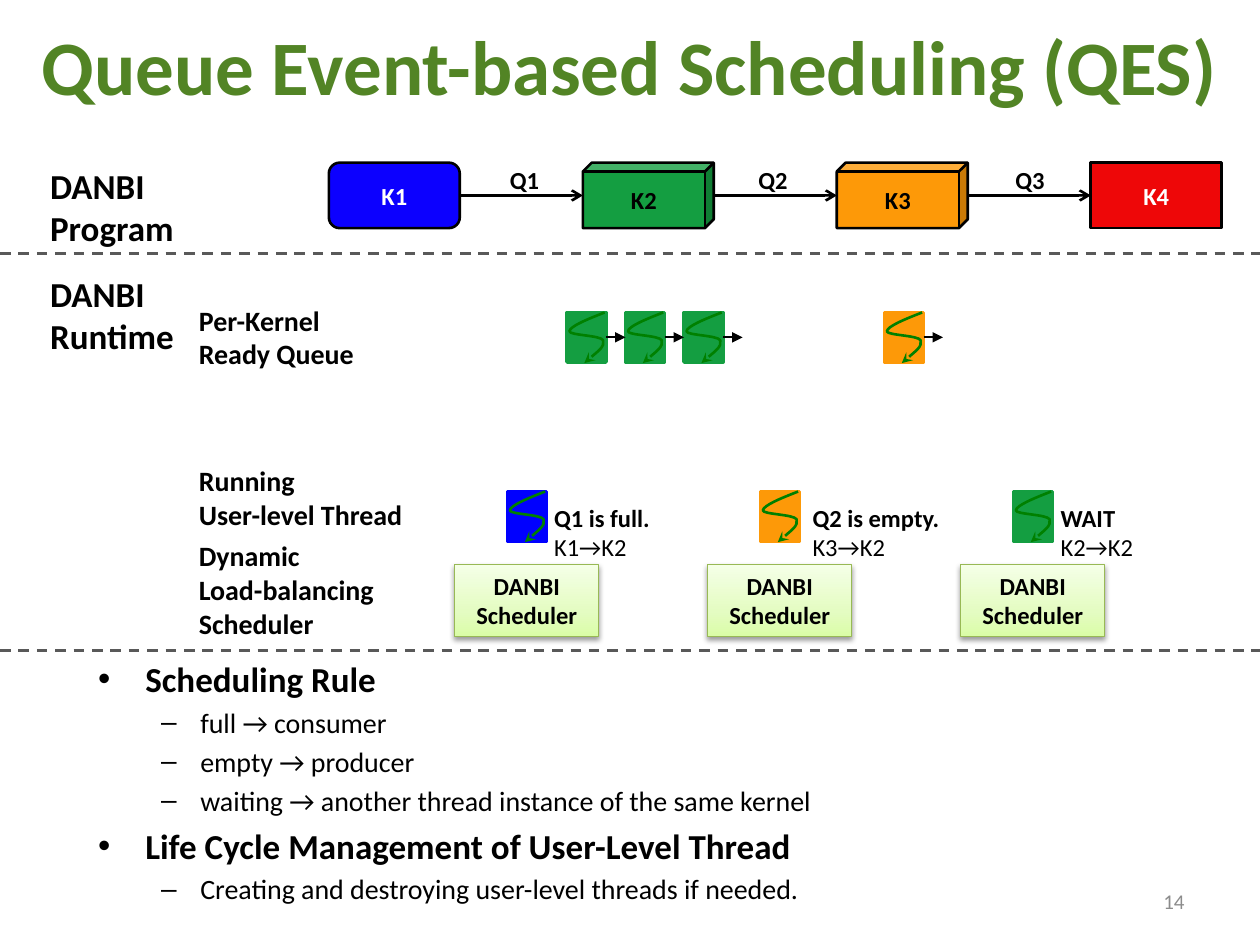
from copy import deepcopy
from typing import NamedTuple

from lxml.etree import SubElement
from pptx import Presentation
from pptx.dml.color import RGBColor
from pptx.enum.dml import MSO_LINE
from pptx.enum.shapes import MSO_CONNECTOR, MSO_SHAPE
from pptx.enum.text import MSO_ANCHOR, MSO_AUTO_SIZE, PP_ALIGN
from pptx.oxml.ns import qn
from pptx.util import Cm, Pt

BLACK, WHITE, GREEN, AMBER = "000000", "FFFFFF", "149E41", "FD9908"
TOP, LEFT, BASE, RIGHT = range(4)


class Kernel(NamedTuple):
    name: str
    form: MSO_SHAPE
    fill: str
    ink: str


class Label(NamedTuple):
    x: float
    y: float
    w: float
    h: float
    size: int
    lines: list[str]


class Worker(NamedTuple):
    fill: str
    note_x: float
    note_w: float
    event: str
    move: str


class Point(NamedTuple):
    level: int
    text: str


KERNELS = [
    Kernel("K1", MSO_SHAPE.ROUNDED_RECTANGLE, "0C00FF", WHITE),
    Kernel("K2", MSO_SHAPE.CUBE, GREEN, BLACK),
    Kernel("K3", MSO_SHAPE.CUBE, AMBER, BLACK),
    Kernel("K4", MSO_SHAPE.RECTANGLE, "EE0708", WHITE),
]
LABELS = [
    Label(0.76, 3.2, 3.05, 1.96, 20, ["DANBI", "Program"]),
    Label(0.76, 5.36, 3.05, 1.96, 20, ["DANBI", "Runtime"]),
    Label(3.76, 5.99, 3.68, 1.63, 16, ["Per-Kernel", "Ready Queue"]),
    Label(3.76, 9.22, 4.7, 1.63, 16, ["Running", "User-level Thread"]),
    Label(3.76, 10.74, 4.11, 2.31, 16, ["Dynamic", "Load-balancing", "Scheduler"]),
    Label(10.03, 3.2, 1.12, 0.86, 14, ["Q1"]),
    Label(15.04, 3.2, 1.12, 0.86, 14, ["Q2"]),
    Label(20.22, 3.2, 1.12, 0.86, 14, ["Q3"]),
]
WORKERS = [
    Worker("0000FF", 10.92, 2.46, "Q1 is full.", "K1→K2"),
    Worker(AMBER, 16.13, 3.12, "Q2 is empty.", "K3→K2"),
    Worker(GREEN, 21.13, 2.03, "WAIT", "K2→K2"),
]
POINTS = [
    Point(0, "Scheduling Rule"),
    Point(1, "full → consumer"),
    Point(1, "empty → producer"),
    Point(1, "waiting → another thread instance of the same kernel"),
    Point(0, "Life Cycle Management of User-Level Thread"),
    Point(1, "Creating and destroying user-level threads if needed."),
]
# Curve of a thread: a start, then three Bezier parts
CURVE = [(0.76, 0), (0.4, 0.14), (0.06, 0.28), (0.05, 0.38), (0.05, 0.46),
         (0.68, 0.46), (0.73, 0.56), (0.77, 0.69), (0.35, 1.02), (0.35, 1.02)]
THREAD_W, THREAD_H = 0.79, 1

deck = Presentation()
deck.slide_width, deck.slide_height = Cm(25.4), Cm(19.05)
shapes = deck.slides.add_slide(deck.slide_layouts[6]).shapes


def hue(code: str) -> RGBColor:
    return RGBColor.from_string(code)


def style(par, size: float, ink: str = BLACK, bold: bool = True, align=None) -> None:
    par.alignment = align
    font = par.font
    font.name, font.size, font.bold = "Calibri", Pt(size), bold
    font.color.rgb = hue(ink)


def write(frame, lines: list[str], size: float, ink: str = BLACK, bold: bool = True, align=None) -> None:
    frame.text = "\n".join(lines)
    for par in frame.paragraphs:
        style(par, size, ink, bold, align)


def text_box(x: float, y: float, w: float, h: float):
    return shapes.add_textbox(Cm(x), Cm(y), Cm(w), Cm(h)).text_frame


def label(item: Label):
    frame = text_box(*item[:4])
    frame.word_wrap = False
    frame.auto_size = MSO_AUTO_SIZE.SHAPE_TO_FIT_TEXT
    write(frame, item.lines, item.size)
    return frame


def block(form: MSO_SHAPE, x: float, y: float, w: float, h: float, fill: str, edge: str, width: float):
    shape = shapes.add_shape(form, Cm(x), Cm(y), Cm(w), Cm(h))
    shape.text_frame.vertical_anchor = MSO_ANCHOR.MIDDLE
    return paint(shape, fill, edge, width)


def paint(shape, fill: str, edge: str, width: float):
    shape.shadow.inherit = False
    shape.fill.solid()
    shape.fill.fore_color.rgb = hue(fill)
    shape.line.color.rgb = hue(edge)
    shape.line.width = Pt(width)
    return shape


def tip(shape, kind: str) -> None:
    SubElement(shape.element.spPr.find(qn("a:ln")), qn("a:tailEnd"), type=kind)


def line(x1: float, x2: float, y: float, width: float, ink: str = BLACK):
    link = shapes.add_connector(MSO_CONNECTOR.STRAIGHT, Cm(x1), Cm(y), Cm(x2), Cm(y))
    link.line.color.rgb = hue(ink)
    link.line.width = Pt(width)
    SubElement(link.element.spPr, qn("a:effectLst"))
    return link


def thread(x: float, y: float, fill: str):
    box = block(MSO_SHAPE.RECTANGLE, x, y, THREAD_W, THREAD_H, fill, fill, 2)
    start, *rest = [(Cm(x + dx), Cm(y + dy)) for dx, dy in CURVE]
    pen = shapes.build_freeform(*start)
    pen.add_line_segments(rest, close=False)
    curve = paint(pen.convert_to_shape(), fill, "008000", 1.5)
    tip(curve, "stealth")
    # Turn each three straight steps into one Bezier part
    track = curve.element.find(".//" + qn("a:path"))
    for i, step in enumerate(track.findall(qn("a:lnTo"))):
        if i % 3 == 0:
            part = SubElement(track, qn("a:cubicBezTo"))
        part.append(step[0])
        track.remove(step)
    return box


def ready(x: float, fill: str, count: int) -> None:
    step, y = 1.18, 6.3
    boxes = [thread(x + i * step, y, fill) for i in range(count)]
    for i, box in enumerate(boxes):
        left = x + i * step + THREAD_W
        link = line(left, left + 0.39, y + THREAD_H / 2, 1)
        link.begin_connect(box, RIGHT)
        if i + 1 < count:
            link.end_connect(boxes[i + 1], LEFT)
        tip(link, "triangle")


def planner(x: float, y: float) -> None:
    box = block(MSO_SHAPE.RECTANGLE, x, y, 2.9, 1.45, WHITE, "98B955", 0.75)
    box.fill.gradient()
    box.fill.gradient_angle = 90
    stops = box.element.spPr.find(".//" + qn("a:gsLst"))
    stops.insert(1, deepcopy(stops[0]))
    for stop, code, place in zip(box.fill.gradient_stops, ("DAFDA7", "E4FCC2", "F5FFE7"), (0, 0.35, 1)):
        stop.color.rgb = hue(code)
        stop.position = place
    shade = SubElement(box.element.spPr.find(qn("a:effectLst")), qn("a:outerShdw"), blurRad=str(Pt(3.1)),
                       dist=str(Pt(1.6)), dir="5400000", rotWithShape="0")
    SubElement(SubElement(shade, qn("a:srgbClr"), val=BLACK), qn("a:alpha"), val="38000")
    write(box.text_frame, ["DANBI", "Scheduler"], 14, align=PP_ALIGN.CENTER)


# Title
head = text_box(0, 0, 25.4, 2.62)
head.word_wrap = True
head.vertical_anchor = MSO_ANCHOR.MIDDLE
write(head, ["Queue Event-based Scheduling (QES)"], 44, "528425", align=PP_ALIGN.CENTER)

# Program: kernels joined by queues
K_X, K_Y, K_W, K_H, K_STEP = 6.63, 3.28, 2.64, 1.32, 5.12
nodes = []
for i, kern in enumerate(KERNELS):
    node = block(kern.form, K_X + i * K_STEP, K_Y, K_W, K_H, kern.fill, BLACK, 1.5)
    if kern.form == MSO_SHAPE.CUBE:
        node.adjustments[0] = 0.136
    write(node.text_frame, [kern.name], 14, kern.ink, align=PP_ALIGN.CENTER)
    nodes.append(node)
links = [line(x + K_W, x + K_STEP, K_Y + K_H / 2, 1.5) for x in (K_X + i * K_STEP for i in range(3))]
links[0].begin_connect(nodes[0], RIGHT)
links[-1].end_connect(nodes[-1], LEFT)
for link in links:
    tip(link, "arrow")

# Dividers and labels
for y in (5.11, 13.11):
    line(0, 25.4, y, 1.5, "595959").line.dash_style = MSO_LINE.DASH
for item in LABELS:
    label(item)

# Runtime: ready queues, running threads and schedulers
ready(11.43, GREEN, 3)
ready(17.83, AMBER, 1)
for i, job in enumerate(WORKERS):
    x = 9.17 + i * 5.1
    planner(x, 11.38)
    thread(x + 1.06, 9.91, job.fill)
    note = label(Label(job.note_x, 10.01, job.note_w, 1.45, 14, [job.event, job.move]))
    note.paragraphs[1].font.bold = False

# Rules
body = text_box(1.73, 13.13, 22.86, 4.8)
body.word_wrap = True
body.text = "\n".join(point.text for point in POINTS)
for i, (par, point) in enumerate(zip(body.paragraphs, POINTS)):
    size, left, hang, mark = [(20, 0.95, 0.95, "•"), (16, 2.06, 0.79, "–")][point.level]
    par.level = point.level
    props = par._p.get_or_add_pPr()
    props.set("marL", str(Cm(left)))
    props.set("indent", str(-Cm(hang)))
    SubElement(props, qn("a:buFont"), typeface="Arial")
    SubElement(props, qn("a:buChar"), char=mark)
    if i:
        par.space_before = Pt(size * 0.2)
    style(par, size, bold=point.level == 0)

# Page number
page = text_box(18.21, 17.65, 5.92, 1.02)
page.word_wrap = True
page.vertical_anchor = MSO_ANCHOR.MIDDLE
write(page, ["14"], 12, "8C8C8C", False, PP_ALIGN.RIGHT)

deck.save("out.pptx")
